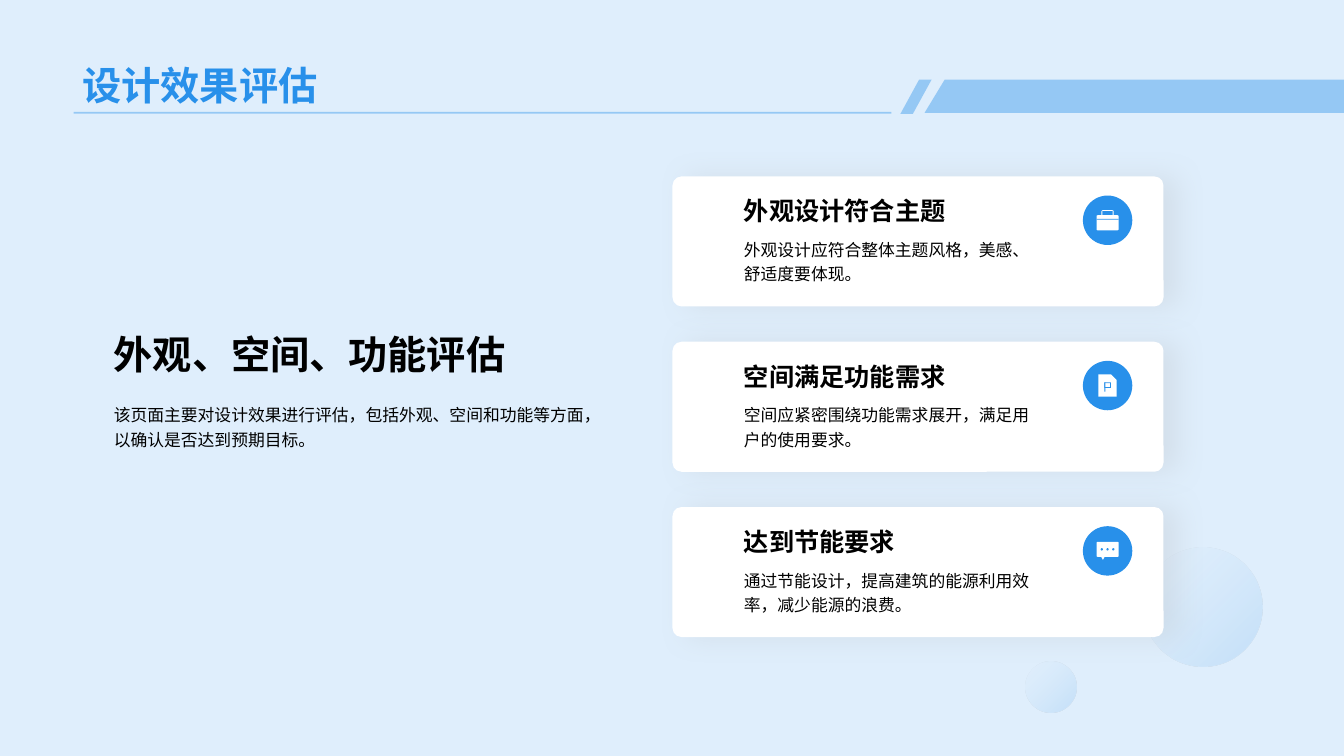
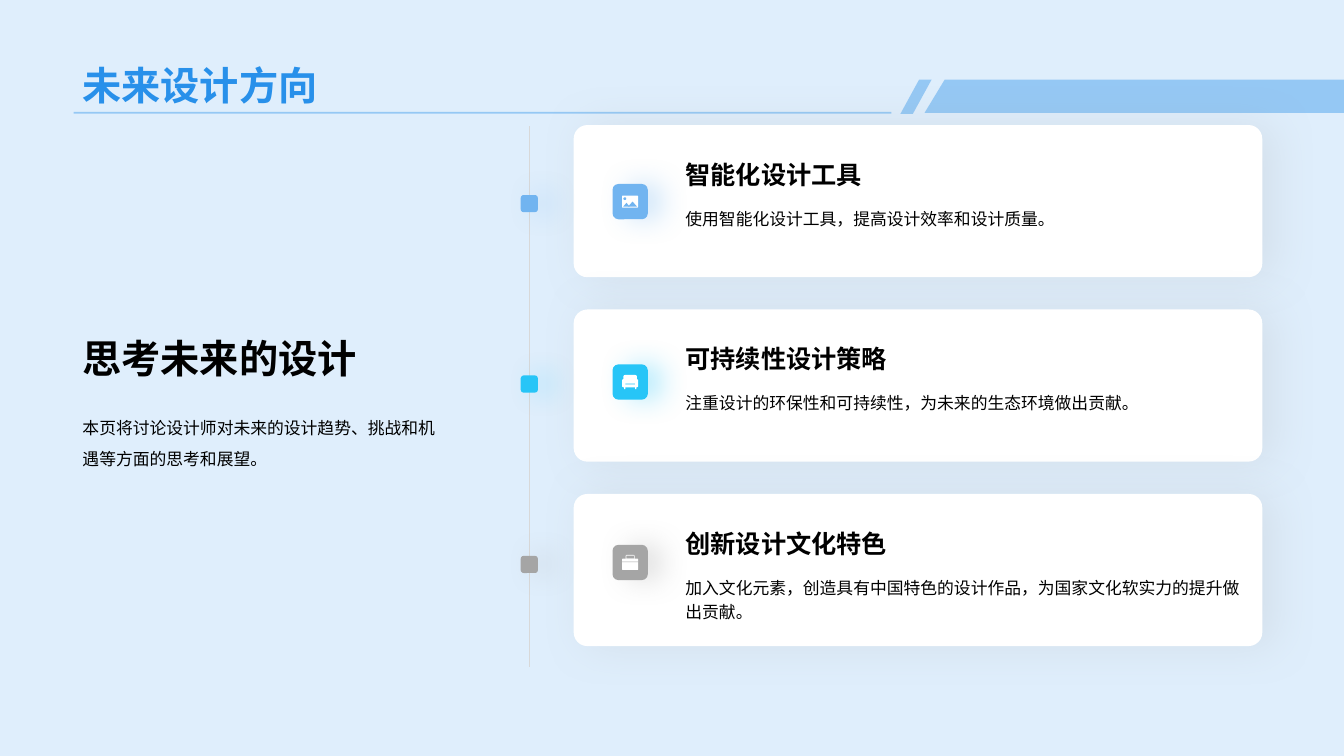
from lxml.etree import SubElement
from pptx import Presentation
from pptx.dml.color import RGBColor
from pptx.enum.lang import MSO_LANGUAGE_ID as LANG
from pptx.enum.shapes import MSO_CONNECTOR as CONN, MSO_SHAPE as SHAPE
from pptx.enum.text import MSO_ANCHOR as ANCHOR
from pptx.oxml.ns import qn
from pptx.util import Inches, Pt

COLORS = {
    "page": "DFEEFC", "accent": "2890EA", "sky": "71B4F0", "cyan": "27C5F7",
    "gray": "A5A5A5", "shade": "A6A6A6", "rule": "D8D8D8",
    "pale": "E3F0FC", "mist": "AAD2F6", "white": "FFFFFF", "ink": "000000",
}
ROUND, RECT, OVAL = SHAPE.ROUNDED_RECTANGLE, SHAPE.RECTANGLE, SHAPE.OVAL
PEAK = SHAPE.ISOSCELES_TRIANGLE


class Deck:
    """Hold the shared style and the slide being drawn."""

    def __init__(self):
        self.prs = Presentation()
        self.prs.slide_width, self.prs.slide_height = Inches(13.33), Inches(7.5)

    def new_slide(self, title):
        self.s = self.prs.slides.add_slide(self.prs.slide_layouts[6])
        bg = self.s.background.fill
        bg.solid()
        bg.fore_color.rgb = self.rgb("page")
        self.band(9.17, 0.79, 13.33, 1.12, slant=0.2)
        self.shape(SHAPE.PARALLELOGRAM, 8.93, 0.79, 0.31, 0.34, "accent",
                   adj=0.6, alpha=40)
        self.line(0.73, 1.12, 8.84, 1.12, "accent", 1.25, alpha=40)
        self.text(title, 0.72, 0, 11.88, 1.12, size=28, bold=True,
                  color="accent", anchor=ANCHOR.BOTTOM)

    def rgb(self, color):
        return RGBColor.from_string(COLORS[color])

    def set_alpha(self, clr, percent):
        SubElement(clr, qn("a:alpha")).set("val", str(percent * 1000))

    def finish(self, sp, color, alpha=None, shadow=None):
        sp.line.fill.background()
        sp.fill.solid()
        sp.fill.fore_color.rgb = self.rgb(color)
        sp.shadow.inherit = False
        spPr = sp._element.spPr
        if alpha:
            self.set_alpha(spPr.find(".//" + qn("a:srgbClr")), alpha)
        if shadow:
            tint, opacity, blur, dist = shadow
            el = SubElement(spPr.find(qn("a:effectLst")), qn("a:outerShdw"),
                            blurRad=str(Pt(blur)), dist=str(Pt(dist)), dir="0",
                            algn="ctr", rotWithShape="0")
            self.set_alpha(SubElement(el, qn("a:srgbClr"), val=COLORS[tint]), opacity)
        return sp

    def shape(self, kind, x, y, w, h, color, adj=None, **look):
        sp = self.s.shapes.add_shape(kind, Inches(x), Inches(y), Inches(w), Inches(h))
        if adj is not None:
            sp.adjustments[0] = adj
        return self.finish(sp, color, **look)

    def band(self, left, top, right, bottom, slant):
        builder = self.s.shapes.build_freeform(Inches(left), Inches(bottom))
        corners = [(left + slant, top), (right, top), (right, bottom)]
        builder.add_line_segments([(Inches(x), Inches(y)) for x, y in corners])
        self.finish(builder.convert_to_shape(), "accent", alpha=40)

    def icon(self, name, cx, cy, w, h, back):
        def part(kind, x, y, pw, ph, color="white", adj=None):
            self.shape(kind, cx + (x - 0.5) * w, cy + (y - 0.5) * h,
                       pw * w, ph * h, color, adj)

        if name == "case":
            part(ROUND, 0.22, 0, 0.56, 0.5)
            part(RECT, 0.27, 0.05, 0.46, 0.2, back)
            part(ROUND, 0, 0.25, 1, 0.75, adj=0.08)
            part(RECT, 0, 0.44, 1, 0.04, back)
        elif name == "page":
            part(SHAPE.SNIP_1_RECTANGLE, 0, 0, 1, 1, adj=0.3)
            part(RECT, 0.32, 0.36, 0.06, 0.42, back)
            part(SHAPE.FRAME, 0.32, 0.36, 0.36, 0.25, back)
        elif name == "chat":
            part(ROUND, 0, 0, 1, 0.83, adj=0.08)
            part(SHAPE.FLOWCHART_MERGE, 0.2, 0.8, 0.18, 0.2)
            for i in range(3):
                part(OVAL, 0.19 + 0.26 * i, 0.35, 0.1, 0.13, back)
        elif name == "photo":
            part(ROUND, 0, 0, 1, 1, adj=0.08)
            part(PEAK, 0.07, 0.6, 0.4, 0.32, back)
            part(PEAK, 0.37, 0.5, 0.56, 0.42, back)
            part(OVAL, 0.08, 0.15, 0.18, 0.22, back)
        else:
            part(ROUND, 0.08, 0, 0.84, 0.7)
            part(ROUND, 0, 0.3, 1, 0.58)
            part(RECT, 0.2, 0.62, 0.6, 0.05, back)
            for x in (0.12, 0.8):
                part(RECT, x, 0.85, 0.08, 0.15)

    def line(self, x1, y1, x2, y2, color, width, alpha=None):
        cn = self.s.shapes.add_connector(CONN.STRAIGHT, Inches(x1), Inches(y1),
                                         Inches(x2), Inches(y2))
        cn.line.color.rgb = self.rgb(color)
        cn.line.width = Pt(width)
        spPr = cn._element.spPr
        if alpha:
            self.set_alpha(spPr.find(".//" + qn("a:srgbClr")), alpha)
        SubElement(spPr, qn("a:effectLst"))

    def bubble(self, x, y, d):
        sp = self.shape(OVAL, x, y, d, d, "sky")
        sp.rotation = 285
        spPr = sp._element.spPr
        grad = SubElement(spPr, qn("a:gradFill"), rotWithShape="1")
        stops = SubElement(grad, qn("a:gsLst"))
        for pos, color, opacity in ((0, "pale", 0), (60, "mist", 25), (100, "sky", 30)):
            gs = SubElement(stops, qn("a:gs"), pos=str(pos * 1000))
            self.set_alpha(SubElement(gs, qn("a:srgbClr"), val=COLORS[color]), opacity)
        SubElement(grad, qn("a:lin"), ang=str(120 * 60000), scaled="0")
        spPr.replace(spPr.find(qn("a:solidFill")), grad)

    def text(self, text, x, y, w, h, size=12, bold=False, color="ink",
             anchor=ANCHOR.TOP, spacing=None):
        tf = self.s.shapes.add_textbox(Inches(x), Inches(y), Inches(w),
                                       Inches(h)).text_frame
        tf.word_wrap = True
        tf.vertical_anchor = anchor
        p = tf.paragraphs[0]
        p.line_spacing = spacing
        r = p.add_run()
        r.text = text
        r.font.name, r.font.size, r.font.bold = "Arial", Pt(size), bold
        r.font.color.rgb = self.rgb(color)
        r.font.language_id = LANG.SIMPLIFIED_CHINESE

    def card(self, x, y, w, h, adj, blur, dist):
        self.shape(ROUND, x, y, w, h, "white", adj=adj,
                   shadow=("shade", 20, blur, dist))

    def item(self, head, body, x, y, w, head_h, gap=0):
        self.text(head, x, y, w, head_h, size=18, bold=True, anchor=ANCHOR.BOTTOM)
        self.text(body, x, y + head_h + gap, w, 0.56, spacing=1.2)

    def glow_square(self, cx, cy, side, color):
        self.shape(ROUND, cx - side / 2, cy - side / 2, side, side, color,
                   shadow=(color, 32, 20, 10))


def evaluation_slide(deck):
    deck.new_slide("设计效果评估")
    deck.bubble(11.34, 5.43, 1.18)
    deck.bubble(10.17, 6.56, 0.51)
    deck.text("外观、空间、功能评估", 1.03, 3.23, 5.09, 0.57, size=28, bold=True)
    deck.text("该页面主要对设计效果进行评估，包括外观、空间和功能等方面，以确认是否达到预期目标。",
              1.03, 3.93, 5.05, 0.56, spacing=1.2)
    rows = [
        ("外观设计符合主题", "外观设计应符合整体主题风格，美感、舒适度要体现。", "case", 0.22, 0.2),
        ("空间满足功能需求", "空间应紧密围绕功能需求展开，满足用户的使用要求。", "page", 0.18, 0.22),
        ("达到节能要求", "通过节能设计，提高建筑的能源利用效率，减少能源的浪费。", "chat", 0.22, 0.18),
    ]
    badge = 0.49
    for i, (head, body, icon, w, h) in enumerate(rows):
        top = 1.75 + 1.64 * i
        badge_top = top + 0.19
        deck.card(6.67, top, 4.87, 1.29, 0.07, 20, 10)
        deck.item(head, body, 7.28, top + 0.14, 3.07, 0.4)
        deck.shape(OVAL, 10.74, badge_top, badge, badge, "accent")
        deck.icon(icon, 10.74 + badge / 2, badge_top + badge / 2, w, h, "accent")


def future_slide(deck):
    deck.new_slide("未来设计方向")
    deck.text("思考未来的设计", 0.72, 3.27, 3.83, 0.57, size=28, bold=True,
              anchor=ANCHOR.MIDDLE)
    deck.text("本页将讨论设计师对未来的设计趋势、挑战和机遇等方面的思考和展望。",
              0.72, 4, 3.83, 0.67, spacing=1.5)
    rows = [
        ("智能化设计工具", "使用智能化设计工具，提高设计效率和设计质量。", "photo", 0.12, "sky"),
        ("可持续性设计策略", "注重设计的环保性和可持续性，为未来的生态环境做出贡献。",
         "sofa", 0.14, "cyan"),
        ("创新设计文化特色", "加入文化元素，创造具有中国特色的设计作品，为国家文化软实力的提升做出贡献。",
         "case", 0.15, "gray"),
    ]
    deck.line(5.25, 1.25, 5.25, 6.62, "rule", 0.5)
    for i, (head, body, icon, icon_h, color) in enumerate(rows):
        top = 1.24 + 1.83 * i
        middle = 2 + 1.79 * i
        deck.card(5.69, top, 6.83, 1.51, 0.09, 32, 8)
        deck.item(head, body, 6.7, top + 0.19, 5.83, 0.5, gap=0.05)
        deck.glow_square(6.25, middle, 0.35, color)
        deck.icon(icon, 6.25, middle, 0.16, icon_h, color)
        deck.glow_square(5.25, middle + 0.02, 0.17, color)


def main():
    deck = Deck()
    evaluation_slide(deck)
    future_slide(deck)
    deck.prs.save("out.pptx")


if __name__ == "__main__":
    main()
